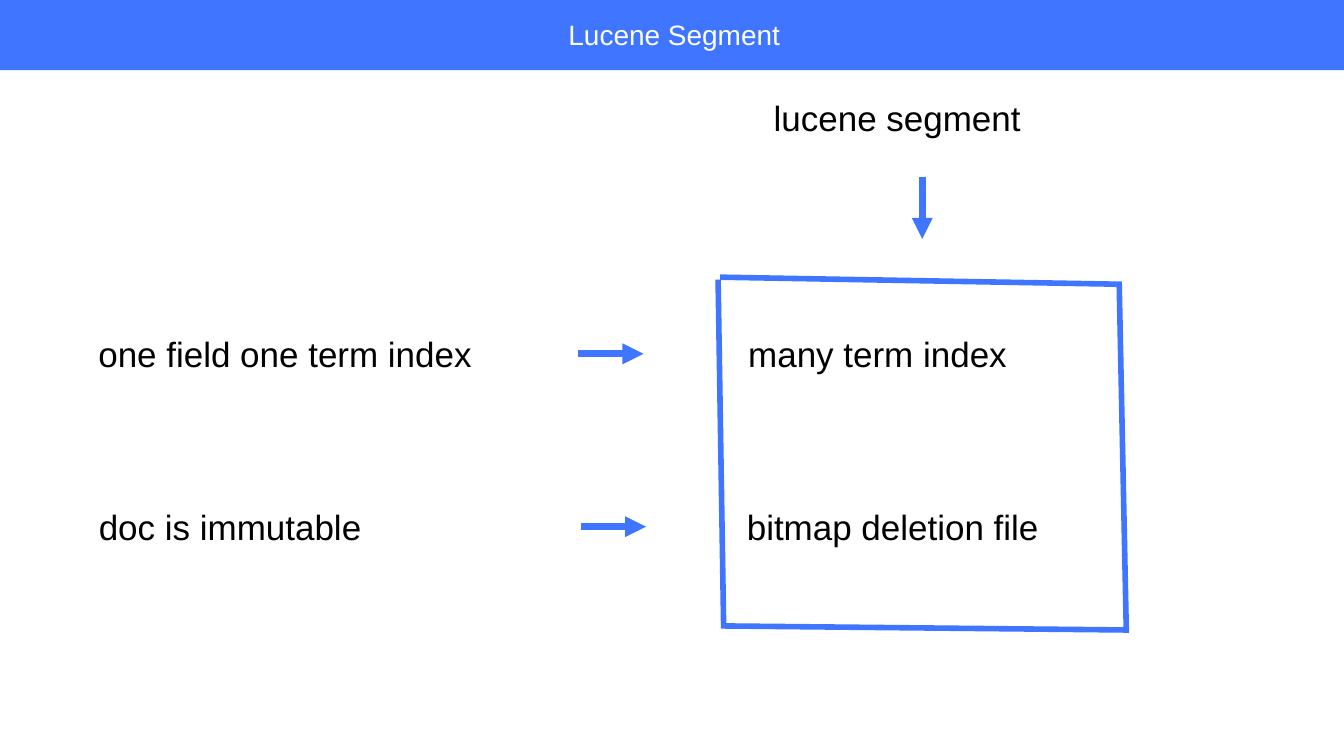
from lxml import etree
from pptx import Presentation
from pptx.dml.color import RGBColor
from pptx.enum import shapes, text
from pptx.oxml.ns import qn
from pptx import util as u

PX = 9144
COLORS = {"blue": "4076FF", "white": "FFFFFF", "black": "000000"}
LABEL = {"size": u.Pt(50), "name": "Arial"}
TITLE = {"size": u.Pt(40), "name": "Arial"}
FRAME = {
    "word_wrap": False,
    "auto_size": text.MSO_AUTO_SIZE.SHAPE_TO_FIT_TEXT,
    "vertical_anchor": text.MSO_ANCHOR.MIDDLE,
    **{f"margin_{side}": 6 * PX for side in ("left", "top", "right", "bottom")},
}
LEFT, CENTER = text.PP_ALIGN.LEFT, text.PP_ALIGN.CENTER


def color(name):
    """Return the named colour."""
    return RGBColor.from_string(COLORS[name])


def emu(*lengths):
    """Turn px lengths into EMU."""
    return [length * PX for length in lengths]


def apply(target, values):
    """Set each format value on the target."""
    for key, value in values.items():
        setattr(target, key, value)


def add_label(slide, box, words, align=LEFT, font=LABEL, ink="black"):
    """Place one line of text in a box."""
    frame = slide.shapes.add_textbox(*emu(*box)).text_frame
    apply(frame, FRAME)
    paragraph = frame.paragraphs[0]
    paragraph.alignment = align
    run = paragraph.add_run()
    run.text = words
    apply(run.font, font)
    run.font.color.rgb = color(ink)


def add_arrow(slide, x, y, dx, dy):
    """Draw a blue arrow from a point by an offset."""
    arrow = slide.shapes.add_connector(
        shapes.MSO_CONNECTOR.STRAIGHT, *emu(x, y, x + dx, y + dy))
    arrow.line.color.rgb = color("blue")
    arrow.line.width = u.Pt(10)
    etree.SubElement(arrow.line._get_or_add_ln(), qn("a:tailEnd"), type="triangle")
    etree.SubElement(arrow._element.spPr, qn("a:effectLst"))


def add_header(slide, box, title):
    """Draw the title bar with its title."""
    left, top, width, height = box
    bar = slide.shapes.add_shape(shapes.MSO_SHAPE.RECTANGLE, *emu(*box))
    bar.shadow.inherit = False
    bar.fill.solid()
    bar.fill.fore_color.rgb = color("blue")
    bar.line.fill.background()
    add_label(slide, (left + 1128, top + 33, 436, 78), title, LEFT, TITLE, "white")


def add_fact(slide, box, cause, cause_width, result, result_width, align):
    """Place a cause, an arrow and its result in one row."""
    left, top, width, height = box
    add_label(slide, (left, top, cause_width, height), cause, align)
    add_arrow(slide, left + 962, top + height // 2, 130, 0)
    add_label(slide, (left + width - result_width, top, result_width, height),
              result, align)


def add_segment(slide, box, name):
    """Draw the hand-drawn segment outline with its name and arrow above."""
    left, top, width, height = box
    corners = [(0, 5), (11, height - 8), (width, height), (width - 14, 14), (4, 0)]
    points = [(left + x, top + y) for x, y in corners]
    builder = slide.shapes.build_freeform(*points[0], scale=PX)
    builder.add_line_segments(points[1:], close=False)
    outline = builder.convert_to_shape()
    outline.shadow.inherit = False
    outline.fill.background()
    outline.line.color.rgb = color("blue")
    outline.line.width = u.Pt(8)
    etree.SubElement(outline.line._get_or_add_ln(), qn("a:miter"), lim="400000")
    add_label(slide, (left + 104, top - 364, 503, 94), name, CENTER)
    add_arrow(slide, left + width // 2, top - 199, 0, 123)


def main():
    """Build and save the presentation."""
    presentation = Presentation()
    presentation.slide_width, presentation.slide_height = emu(2667, 1500)
    slide = presentation.slides.add_slide(presentation.slide_layouts[6])
    add_header(slide, (-6, -4, 2676, 143), "Lucene Segment")
    add_fact(slide, (185, 655, 1822, 94), "one field one term index", 762,
             "many term index", 531, CENTER)
    add_fact(slide, (190, 998, 1889, 94), "doc is immutable", 545,
             "bitmap deletion file", 603, LEFT)
    add_segment(slide, (1425, 550, 810, 700), "lucene segment")
    presentation.save("out.pptx")


if __name__ == "__main__":
    main()
